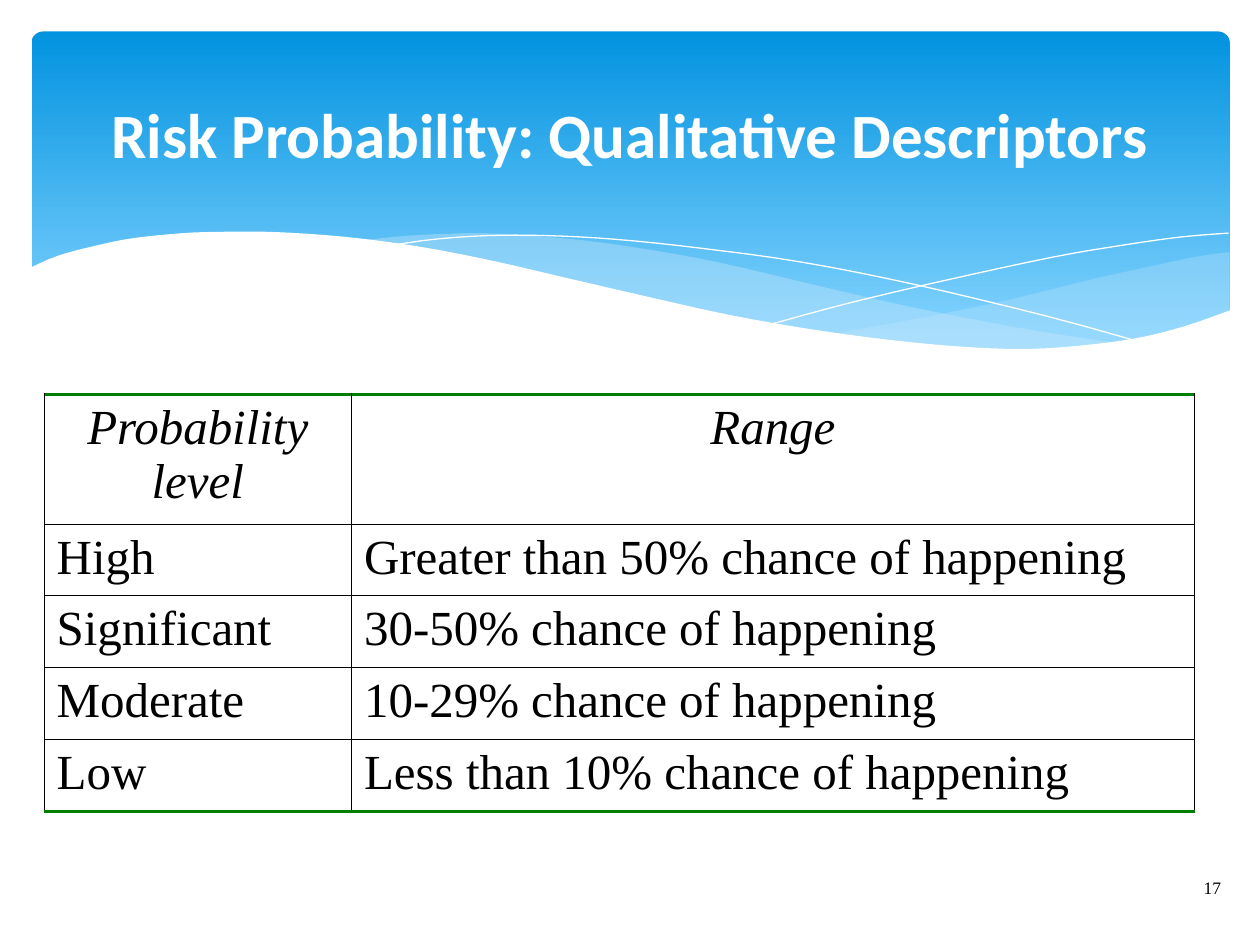
from dataclasses import dataclass
from typing import Optional

from lxml import etree
from pptx import Presentation
from pptx import util as u
from pptx.dml.color import RGBColor
from pptx.enum import shapes, text
from pptx.oxml import ns


@dataclass(frozen=True)
class Theme:
    """Colours, fonts and type sizes of the slide."""
    white: str = "FFFFFF"
    ink: str = "000000"
    rule: str = "008000"
    deep: str = "0293E0"
    sky: str = "83D3FE"
    mist: str = "C6E7FC"
    head: str = "Calibri"
    body: str = "Times New Roman"
    big: int = 36
    mid: int = 28
    small: int = 10


@dataclass(frozen=True)
class Wave:
    """Smooth curves joined at corners; filled when a fill is named."""
    curves: tuple
    fill: Optional[str] = None
    alpha: int = 100


T = Theme()
WIDE, HIGH = 10, 7.5

WAVES = (
    Wave((((9.76, 2), (9.48, 2.04), (9.06, 2.13), (8.61, 2.23), (8.05, 2.37),
           (7.53, 2.48), (7.06, 2.57), (6.61, 2.65)),
          ((6.61, 2.65), (7.05, 2.71), (7.57, 2.76), (8.03, 2.78), (8.44, 2.77),
           (8.81, 2.73), (9.21, 2.65), (9.49, 2.57), (9.76, 2.47))), T.mist, 29),
    Wave((((8.93, 2.73), (8.37, 2.65), (7.75, 2.54), (7.06, 2.4), (6.29, 2.22),
           (5.69, 2.08), (5.14, 1.98), (4.65, 1.91), (4.2, 1.87), (3.8, 1.85),
           (3.44, 1.86), (3.13, 1.88), (2.86, 1.91)),
          ((2.86, 1.91), (3.42, 1.99), (4.04, 2.11), (4.49, 2.22), (5.3, 2.4),
           (6.01, 2.55), (6.65, 2.66), (7.22, 2.74), (7.73, 2.77), (8.18, 2.78),
           (8.57, 2.77), (8.93, 2.73))), T.mist, 40),
    Wave((((3.09, 1.95), (3.44, 1.9), (3.87, 1.87), (4.33, 1.87), (4.89, 1.9),
           (5.56, 1.97), (6.36, 2.08), (7.27, 2.26), (8.31, 2.51), (9.07, 2.72)),)),
    Wave((((6.13, 2.57), (6.72, 2.41), (7.48, 2.23), (8.36, 2.04), (8.95, 1.94),
           (9.38, 1.88), (9.75, 1.85)),)),
    Wave((((9.77, 2.46), (9.4, 2.59), (8.99, 2.69), (8.5, 2.75), (8.09, 2.77),
           (7.61, 2.75), (7.08, 2.7), (6.48, 2.62), (5.79, 2.5), (5.03, 2.33),
           (4.47, 2.2), (3.91, 2.07), (3.4, 1.97), (2.92, 1.9), (2.5, 1.86),
           (2.11, 1.84), (1.77, 1.84), (1.46, 1.85), (1.06, 1.89), (0.76, 1.95),
           (0.46, 2.03), (0.23, 2.13)),
          ((0.23, 3.29), (9.77, 3.29))), T.white),
)

ROWS = (
    ("Probability level", "Range"),
    ("High", "Greater than 50% chance of happening"),
    ("Significant", "30-50% chance of happening"),
    ("Moderate", "10-29% chance of happening"),
    ("Low", "Less than 10% chance of happening"),
)
COLS = (2.44, 6.69)
TOP_ROW, ROW = 1.03, 0.57


def rgb(code: str) -> RGBColor:
    """Turn a hex code into a colour."""
    return RGBColor.from_string(code)


def place(x: float, y: float, w: float, h: float) -> tuple:
    """Turn inches into slide lengths."""
    return tuple(u.Inches(n) for n in (x, y, w, h))


def smooth(knots: tuple, steps: int = 4) -> list:
    """Run a Catmull-Rom curve through the knots."""
    ends = (knots[0], *knots, knots[-1])
    dots = [knots[0]]
    for quad in zip(ends, ends[1:], ends[2:], ends[3:]):
        for step in range(1, steps + 1):
            t = step / steps
            dots.append(tuple(
                (2 * b + (c - a) * t + (2 * a - 5 * b + 4 * c - d) * t ** 2
                 + (3 * b - a - 3 * c + d) * t ** 3) / 2
                for a, b, c, d in zip(*quad)))
    return dots


def write(frame, words: str, size: int, font: str, color: str, align,
          bold: bool = False, italic: bool = False) -> None:
    """Fill a text frame with one styled paragraph."""
    frame.text = words
    para = frame.paragraphs[0]
    para.alignment = align
    face = para.runs[0].font
    face.size, face.name = u.Pt(size), font
    face.bold, face.italic = bold, italic
    face.color.rgb = rgb(color)


def draw_band(page) -> None:
    """Draw the shaded band behind the title."""
    band = page.shapes.add_shape(shapes.MSO_SHAPE.ROUNDED_RECTANGLE,
                                 *place(0.25, 0.25, 9.51, 2.7))
    band.adjustments[0] = 0.034
    band.shadow.inherit = False
    band.line.fill.background()
    band.fill.gradient()
    band.fill.gradient_angle = 270
    for stop, spot, code in zip(band.fill.gradient_stops, (0, 0.9), (T.deep, T.sky)):
        stop.position = spot
        stop.color.rgb = rgb(code)


def draw_wave(page, wave: Wave) -> None:
    """Draw one wave as a filled outline or a hairline."""
    dots = [(u.Inches(x), u.Inches(y)) for knots in wave.curves
            for x, y in smooth(knots)]
    path = page.shapes.build_freeform(*dots[0])
    path.add_line_segments(dots[1:], close=wave.fill is not None)
    form = path.convert_to_shape()
    form.shadow.inherit = False
    if wave.fill is None:
        form.fill.background()
        form.line.color.rgb = rgb(T.white)
        form.line.width = u.Pt(0)
        return
    form.line.fill.background()
    form.fill.solid()
    form.fill.fore_color.rgb = rgb(wave.fill)
    if wave.alpha < 100:
        tint = next(form.element.iter(ns.qn("a:srgbClr")))
        etree.SubElement(tint, ns.qn("a:alpha"), val=str(wave.alpha * 1000))


def edge(cell, side: str, color: str, width: float) -> None:
    """Add one border line to a cell."""
    props = cell._tc.get_or_add_tcPr()
    line = etree.SubElement(props, ns.qn("a:ln" + side), w=str(u.Pt(width)))
    fill = etree.SubElement(line, ns.qn("a:solidFill"))
    etree.SubElement(fill, ns.qn("a:srgbClr"), val=color)


def draw_grid(page) -> None:
    """Draw the table of probability levels."""
    last = len(ROWS) - 1
    grid = page.shapes.add_table(len(ROWS), len(COLS), *place(
        0.35, 3.13, sum(COLS), TOP_ROW + last * ROW)).table
    grid.first_row = grid.horz_banding = False
    for col, wide in zip(grid.columns, COLS):
        col.width = u.Inches(wide)
    for r, row in enumerate(ROWS):
        grid.rows[r].height = u.Inches(ROW if r else TOP_ROW)
        for c, words in enumerate(row):
            cell = grid.cell(r, c)
            align = text.PP_ALIGN.LEFT if r else text.PP_ALIGN.CENTER
            write(cell.text_frame, words, T.mid, T.body, T.ink, align, italic=r == 0)
            for side in "LRTB":
                outer = (side, r) in (("T", 0), ("B", last))
                edge(cell, side, *((T.rule, 2) if outer else (T.ink, 0.75)))
            cell.fill.background()


def draw_title(page) -> None:
    """Set the title and bring it in front of the band."""
    title = page.shapes.title
    title.left, title.top, title.width, title.height = place(
        0.05 * WIDE, 0.37, 0.9 * WIDE, 1.37)
    title.text_frame.vertical_anchor = text.MSO_ANCHOR.MIDDLE
    write(title.text_frame, "Risk Probability: Qualitative Descriptors",
          T.big, T.head, T.white, text.PP_ALIGN.CENTER, bold=True)
    title.element.getparent().append(title.element)


def draw_count(page) -> None:
    """Write the slide number."""
    frame = page.shapes.add_textbox(*place(5.65, 6.84, 4.14, 0.4)).text_frame
    frame.word_wrap = True
    frame.vertical_anchor = text.MSO_ANCHOR.MIDDLE
    write(frame, "17", T.small, T.body, T.ink, text.PP_ALIGN.RIGHT)


deck = Presentation()
deck.slide_width, deck.slide_height = u.Inches(WIDE), u.Inches(HIGH)
page = deck.slides.add_slide(deck.slide_layouts[5])
draw_band(page)
for wave in WAVES:
    draw_wave(page, wave)
draw_count(page)
draw_title(page)
draw_grid(page)
deck.save("out.pptx")
